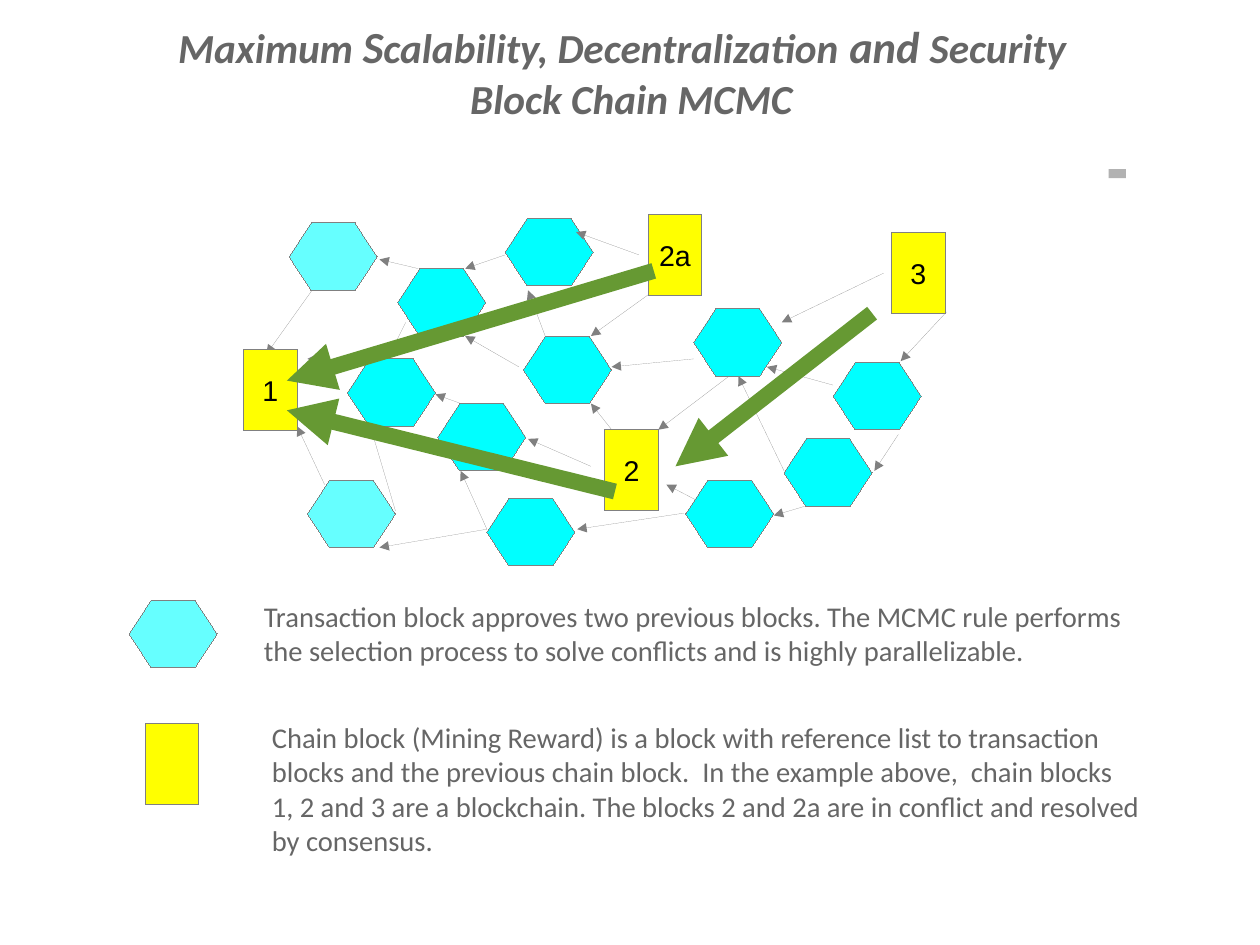
import pptx
import pptx.util
import pptx.dml.color
import pptx.enum.text
import pptx.enum.shapes
import pptx.oxml.ns
import lxml.etree

RGB = pptx.dml.color.RGBColor
TEXT = RGB(0x66, 0x66, 0x66)
GRAY = RGB(0x80, 0x80, 0x80)
DASH = RGB(0xB2, 0xB2, 0xB2)
PALE = RGB(0x66, 0xFF, 0xFF)
CYAN = RGB(0x00, 0xFF, 0xFF)
YELLOW = RGB(0xFF, 0xFF, 0x00)
GREEN = RGB(0x66, 0x99, 0x33)
BLACK = RGB(0x00, 0x00, 0x00)

Pt = pptx.util.Pt
FORM = pptx.enum.shapes.MSO_SHAPE
ALIGN = pptx.enum.text.PP_ALIGN
ANCHOR = pptx.enum.text.MSO_ANCHOR
FIT = pptx.enum.text.MSO_AUTO_SIZE
CELL = pptx.util.Inches(0.1)

deck = pptx.Presentation()
deck.slide_width = pptx.util.Cm(28)
deck.slide_height = pptx.util.Cm(21)
slide = deck.slides.add_slide(deck.slide_layouts[5])
shapes = slide.shapes


def block(form, box, fill, label=""):
    item = shapes.add_shape(form, *[round(n * CELL) for n in box])
    item._element.remove(item._element.find(pptx.oxml.ns.qn("p:style")))
    item.shadow.inherit = False
    item.fill.solid()
    item.fill.fore_color.rgb = fill
    item.line.color.rgb = GRAY
    item.line.width = Pt(0)
    if form == FORM.HEXAGON:
        item.adjustments[0] = 0.327
    if label:
        frame = item.text_frame
        frame.word_wrap = False
        frame.vertical_anchor = ANCHOR.MIDDLE
        para = frame.paragraphs[0]
        para.alignment = ALIGN.CENTER
        run = para.add_run()
        run.text = label
        run.font.name = "Arial"
        run.font.size = Pt(18)
        run.font.color.rgb = BLACK
    return item


def arrow(ends, color, width, tip):
    link = shapes.add_connector(
        pptx.enum.shapes.MSO_CONNECTOR.STRAIGHT, *[round(n * CELL) for n in ends])
    link._element.remove(link._element.find(pptx.oxml.ns.qn("p:style")))
    link.line.color.rgb = color
    link.line.width = Pt(width)
    line = link._element.spPr.find(pptx.oxml.ns.qn("a:ln"))
    lxml.etree.SubElement(line, pptx.oxml.ns.qn(tip), type="triangle")
    lxml.etree.SubElement(link._element.spPr, pptx.oxml.ns.qn("a:effectLst"))


title = shapes.title
title.left, title.top, title.width, title.height = [
    round(n * CELL) for n in (0.8, 1.2, 108.1, 13.9)]
frame = title.text_frame
frame.word_wrap = True
frame.auto_size = FIT.NONE
frame.vertical_anchor = ANCHOR.TOP
heads = [
    [("Maximum ", 26), ("S", 28), ("calability, Decentralization", 26),
     (" and ", 28), ("Security ", 26)],
    [(" Block Chain MCMC", 26)],
]
for row, parts in enumerate(heads):
    para = frame.add_paragraph() if row else frame.paragraphs[0]
    para.alignment = ALIGN.CENTER
    for text, size in parts:
        run = para.add_run()
        run.text = text
        run.font.name = "Calibri"
        run.font.size = Pt(size)
        run.font.bold = True
        run.font.italic = True
        run.font.color.rgb = TEXT

dash = block(FORM.RECTANGLE, (97, 14.8, 1.5, 0.8), DASH)
dash.line.fill.background()

arrow((58.3, 42.4, 61.2, 43.9), GRAY, 0, "a:headEnd")

HEX = (7.7, 5.9)
spots = [
    (25.3, 19.5, PALE), (26.9, 42, PALE), (30.4, 31.4, CYAN),
    (38.3, 35.3, CYAN), (34.8, 23.5, CYAN), (45.8, 29.4, CYAN),
    (42.6, 43.6, CYAN), (44.2, 19.1, CYAN), (60.7, 27, CYAN),
    (60, 42, CYAN), (68.6, 38.4, CYAN), (72.9, 31.7, CYAN),
    (11.3, 52.5, PALE),
]
for left, top, fill in spots:
    block(FORM.HEXAGON, (left, top, *HEX), fill)

links = [
    (78.8, 31.6, 82.8, 27.3), (67.1, 32.1, 72.9, 33.7),
    (64.6, 32.9, 68.6, 41.2), (76.5, 41.2, 78.6, 38),
    (68.4, 28.2, 77.3, 23.9), (67.7, 45.1, 70.4, 44.3),
    (50.4, 20.3, 55.9, 22.3), (53.5, 32.1, 60.7, 31.4),
    (57.6, 37.6, 63.8, 32.9), (40.3, 41.2, 42.6, 46.3),
    (33.2, 47.9, 42.6, 46.3), (51.7, 29.4, 56.7, 25.8),
    (51.7, 35.3, 53.6, 37.7), (46.2, 25.4, 47.7, 29.4),
    (40.7, 23.5, 44.2, 22.3), (40.7, 29.4, 45.4, 32.1),
    (46.2, 38.4, 51.7, 40.8), (50.5, 46.3, 59.8, 44.9),
    (38.1, 34.5, 40.3, 35.3), (32.4, 37.3, 34.6, 44.7),
    (26.9, 31.4, 32.4, 31.4), (33.2, 22.7, 36.6, 23.5),
    (23.3, 31, 27.3, 25.4), (26, 37.3, 28.4, 42.4),
    (33.9, 31.4, 35.5, 28.2),
]
for ends in links:
    arrow(ends, GRAY, 0, "a:headEnd")

chain = [
    (21.3, 30.6, "1"), (78, 20.3, "3"), (52.9, 37.6, "2"),
    (56.7, 18.8, "2a"), (12.7, 63.3, ""),
]
for left, top, label in chain:
    block(FORM.RECTANGLE, (left, top, 4.7, 7.1), YELLOW, label)

paths = [
    (53.8, 43, 25.1, 35.9), (76.3, 27.4, 59.1, 40.8),
    (57.2, 23.7, 25.1, 33.3),
]
for ends in paths:
    arrow(ends, GREEN, 10.09, "a:tailEnd")

notes = [
    ((22.1, 51.9, 78.9, 9.7),
     "Transaction block approves two previous blocks. The MCMC rule performs "
     "the selection process to solve conflicts and is highly parallelizable."),
    ((22.8, 62.5, 78, 15.5),
     "Chain block (Mining Reward) is a block with reference list to transaction "
     "blocks and the previous chain block.  In the example above,  chain blocks "
     "1, 2 and 3 are a blockchain. The blocks 2 and 2a are in conflict and resolved "
     "by consensus."),
]
for box, text in notes:
    frame = shapes.add_textbox(*[round(n * CELL) for n in box]).text_frame
    frame.word_wrap = True
    frame.auto_size = FIT.SHAPE_TO_FIT_TEXT
    run = frame.paragraphs[0].add_run()
    run.text = text
    run.font.name = "Calibri"
    run.font.size = Pt(18)
    run.font.color.rgb = TEXT

deck.save("out.pptx")
